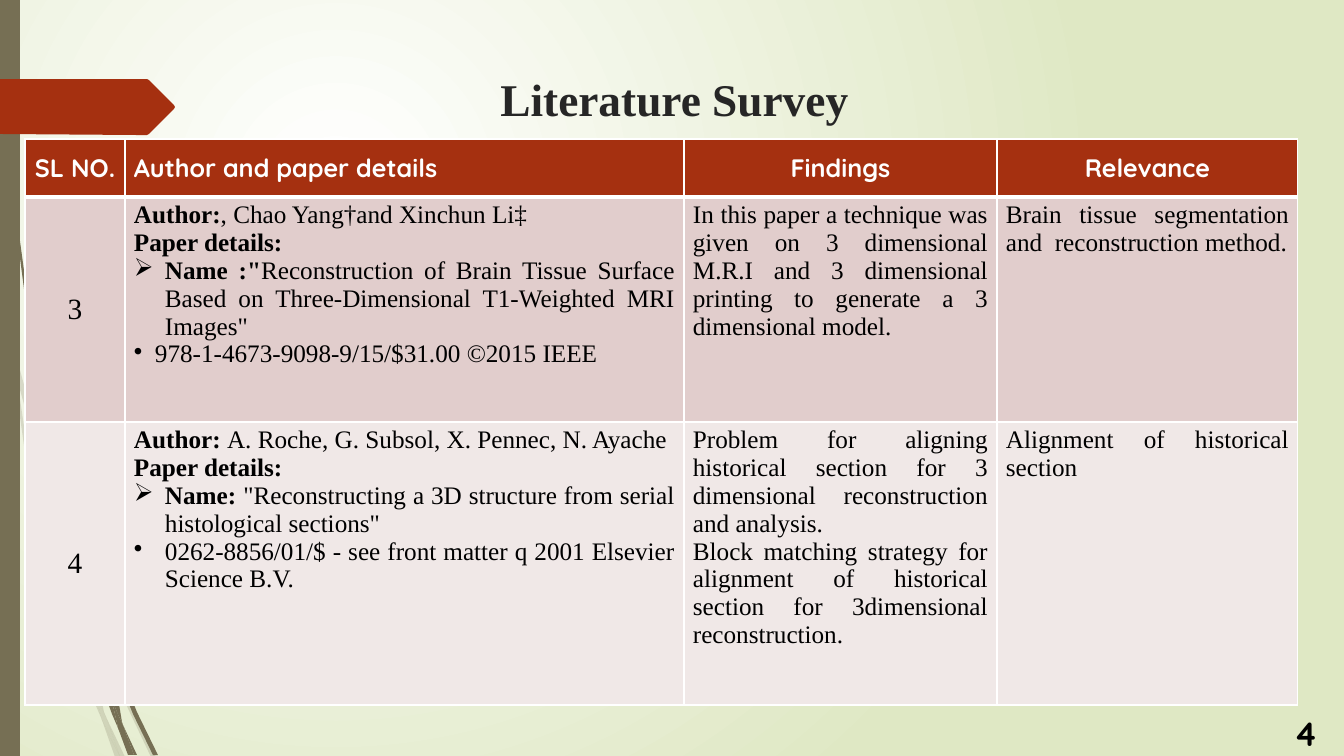
from dataclasses import dataclass

from lxml.etree import SubElement
from pptx import Presentation
from pptx.dml.color import RGBColor
from pptx.enum.shapes import MSO_SHAPE as Shape
from pptx.enum.text import MSO_ANCHOR as Anchor, MSO_AUTO_SIZE as AutoSize, PP_ALIGN as Align
from pptx.oxml.ns import qn
from pptx.util import Emu, Pt

EMU_PER_PX = 914400 / 100.8


def px(length):
    return Emu(round(length * EMU_PER_PX))


@dataclass(frozen=True)
class Theme:
    olive: str = "766F54"
    rust: str = "A53010"
    white: str = "FFFFFF"
    black: str = "000000"
    heading: str = "262626"
    glow_edge: str = "DFE8C4"
    bands: tuple = ("E1CDCC", "F0E8E7")
    serif: str = "Times New Roman"
    sans: str = "Quicksand"
    title_size: float = 32.4
    page_size: int = 24
    number_size: int = 21
    text_size: int = 18
    thin: int = 1
    thick: int = 3


PALE_WISPS = [
    [(11, 353), (9, 325), (0, 284), (0, 301), (10, 347)],
    [(58, 526), (85, 604), (86, 591), (62, 524), (14, 348), (17, 379)],
    [(93, 612), (89, 601), (89, 615), (124, 700), (151, 757), (156, 757), (128, 698)],
    [(120, 757), (125, 757), (106, 717)],
    [(94, 688), (71, 624), (31, 473), (17, 379), (11, 353), (28, 474), (66, 626),
     (93, 699), (102, 720), (100, 713)],
    [(85, 604), (88, 651), (94, 688), (97, 698), (106, 717), (104, 712), (92, 651),
     (89, 615), (89, 613)],
    [(89, 589), (111, 466), (161, 352), (231, 247), (270, 200), (292, 176), (314, 155),
     (314, 154), (291, 176), (270, 199), (230, 246), (159, 351), (108, 465), (86, 589),
     (86, 591), (89, 601)],
    [(102, 720), (115, 757), (120, 757)],
    [(89, 613), (89, 615), (89, 601), (86, 591), (85, 604)],
    [(97, 698), (94, 688), (100, 713), (102, 720), (120, 757), (106, 717)],
]

DARK_WISPS = [
    [(7, 111), (17, 235), (33, 358), (56, 481), (57, 485), (55, 461), (55, 457),
     (36, 358), (19, 234), (8, 110), (5, 48), (4, 0), (3, 0), (4, 48)],
    [(89, 597), (107, 650), (107, 638), (107, 636), (94, 595), (60, 476), (65, 509)],
    [(114, 654), (111, 646), (112, 661), (133, 714), (153, 755), (158, 755), (137, 712)],
    [(111, 697), (99, 662), (73, 560), (65, 509), (57, 481), (69, 561), (94, 664),
     (112, 714), (118, 728), (117, 723)],
    [(60, 476), (58, 457), (54, 352), (58, 247), (64, 195), (71, 142), (62, 195),
     (56, 247), (52, 352), (55, 453)],
    [(134, 755), (137, 755), (123, 725)],
    [(57, 481), (65, 509), (60, 476), (55, 453), (55, 457)],
    [(112, 638), (126, 556), (159, 480), (207, 409), (233, 377), (247, 362), (263, 347),
     (262, 347), (247, 361), (233, 376), (206, 408), (157, 478), (123, 555), (107, 636),
     (111, 646)],
    [(118, 728), (128, 755), (132, 755)],
    [(107, 650), (111, 697), (117, 712), (123, 725), (122, 722), (112, 661), (110, 656)],
    [(107, 650), (110, 656), (112, 661), (111, 646), (107, 636), (107, 638)],
    [(117, 712), (111, 697), (117, 723), (118, 728), (131, 755), (134, 755), (123, 725)],
]

ARROW_TAG = [(174, 109), (149, 134), (147, 135), (137, 135), (0, 134), (0, 79),
             (147, 79), (149, 80), (174, 105), (175, 107)]

COLUMNS = [100, 559, 313, 301]
ROWS = [58, 225, 283]
HEADINGS = ["SL NO.", "Author and paper details", "Findings", "Relevance"]

# A line is (bullet, indent, bold lead, plain rest).
PAPERS = [
    ("3",
     [("", 0, "Author:", ", Chao Yang†and Xinchun Li‡"),
      ("", 0, "Paper details:", ""),
      ("➢", 31, "Name :\"", "Reconstruction of Brain Tissue Surface Based on "
       "Three-Dimensional T1-Weighted MRI Images\""),
      ("•", 21, "", "978-1-4673-9098-9/15/$31.00 ©2015 IEEE")],
     [("", 0, "", "In this paper a technique was given on 3 dimensional M.R.I and "
       "3 dimensional printing to generate a 3 dimensional model.")],
     [("", 0, "", "Brain tissue segmentation and  reconstruction method.")]),
    ("4",
     [("", 0, "Author: ", "A. Roche, G. Subsol, X. Pennec, N. Ayache"),
      ("", 0, "Paper details:", ""),
      ("➢", 31, "Name: ", "\"Reconstructing a 3D structure from serial "
       "histological sections\""),
      ("•", 31, "", "0262-8856/01/$ - see front matter q 2001 Elsevier Science B.V.")],
     [("", 0, "", "Problem for aligning historical section for 3 dimensional "
       "reconstruction and analysis."),
      ("", 0, "", "Block matching strategy for alignment of historical section for "
       "3dimensional reconstruction.")],
     [("", 0, "", "Alignment of historical section")]),
]


class SlideBuilder:
    def __init__(self, page, theme):
        self.page, self.theme = page, theme

    def background(self):
        fill = self.page.background.fill
        fill.gradient()
        for stop, color in zip(fill.gradient_stops, (self.theme.white, self.theme.glow_edge)):
            stop.color.rgb = RGBColor.from_string(color)
        gradient = self.page.element.find(".//" + qn("a:gradFill"))
        gradient.remove(gradient.find(qn("a:lin")))
        glow = SubElement(gradient, qn("a:path"), path="circle")
        SubElement(glow, qn("a:fillToRect"), l="50000", t="50000", r="100000", b="100000")

    def paint(self, shape, color, opacity=100):
        shape.shadow.inherit = False
        shape.fill.solid()
        shape.fill.fore_color.rgb = RGBColor.from_string(color)
        shape.line.fill.background()
        if opacity < 100:
            tint = shape.element.spPr.find(".//" + qn("a:srgbClr"))
            SubElement(tint, qn("a:alpha"), val=str(opacity * 1000))

    def outline(self, points, color, opacity=100):
        builder = self.page.shapes.build_freeform(*points[0], scale=EMU_PER_PX)
        builder.add_line_segments(points[1:], close=True)
        self.paint(builder.convert_to_shape(), color, opacity)

    def bar(self, left, top, width, height, color):
        self.paint(self.page.shapes.add_shape(
            Shape.RECTANGLE, px(left), px(top), px(width), px(height)), color)

    def span(self, para, text, size, face, color, bold=False):
        run = para.add_run()
        run.text = text
        run.font.size, run.font.name, run.font.bold = Pt(size), face, bold
        run.font.color.rgb = RGBColor.from_string(color)

    def title(self, text, left, top, width, height):
        box = self.page.shapes.title
        box.left, box.top, box.width, box.height = map(px, (left, top, width, height))
        frame = box.text_frame
        frame.auto_size, frame.vertical_anchor = AutoSize.NONE, Anchor.MIDDLE
        frame.margin_top, frame.margin_bottom = px(40), 0
        para = frame.paragraphs[0]
        para.alignment = Align.CENTER
        self.span(para, text, self.theme.title_size, self.theme.serif, self.theme.heading, True)

    def page_number(self, text, left, top, width, height):
        box = self.page.shapes.add_textbox(px(left), px(top), px(width), px(height))
        box.text_frame.word_wrap = True
        self.span(box.text_frame.paragraphs[0], text, self.theme.page_size,
                  self.theme.sans, self.theme.black, True)

    def cell(self, cell, fill, top=1, bottom=1, anchor=Anchor.TOP):
        """Give a cell its white borders, fill, insets and anchor."""
        cell.margin_left = cell.margin_right = px(9)
        cell.margin_top = cell.margin_bottom = px(4)
        cell.vertical_anchor = anchor
        properties = cell._tc.get_or_add_tcPr()
        for side, width in (("L", self.theme.thin), ("R", self.theme.thin),
                            ("T", top), ("B", bottom)):
            border = SubElement(properties, qn("a:ln" + side), w=str(Pt(width)))
            solid = SubElement(border, qn("a:solidFill"))
            SubElement(solid, qn("a:srgbClr"), val=self.theme.white)
        cell.fill.solid()
        cell.fill.fore_color.rgb = RGBColor.from_string(fill)

    def lines(self, frame, lines):
        theme = self.theme
        for index, (bullet, indent, lead, rest) in enumerate(lines):
            para = frame.add_paragraph() if index else frame.paragraphs[0]
            para.alignment = Align.JUSTIFY
            if bullet:
                properties = para._p.get_or_add_pPr()
                properties.set("marL", str(px(indent)))
                properties.set("indent", str(-px(indent)))
                SubElement(properties, qn("a:buChar"), char=bullet)
            for text, bold in ((lead, True), (rest, False)):
                if text:
                    self.span(para, text, theme.text_size, theme.serif, theme.black, bold)

    def survey_table(self, left, top):
        theme = self.theme
        table = self.page.shapes.add_table(
            len(ROWS), len(COLUMNS), px(left), px(top), px(sum(COLUMNS)), px(sum(ROWS))).table
        table.horz_banding = False
        for column, width in zip(table.columns, COLUMNS):
            column.width = px(width)
        for row, height in zip(table.rows, ROWS):
            row.height = px(height)
        for index, heading in enumerate(HEADINGS):
            cell = table.cell(0, index)
            self.cell(cell, theme.rust, bottom=theme.thick, anchor=Anchor.MIDDLE)
            para = cell.text_frame.paragraphs[0]
            para.alignment = Align.LEFT if index == 1 else Align.CENTER
            self.span(para, heading, theme.text_size, theme.sans, theme.white, True)
        for row, (paper, fill) in enumerate(zip(PAPERS, theme.bands), start=1):
            border = theme.thick if row == 1 else theme.thin
            number = table.cell(row, 0)
            self.cell(number, fill, top=border, anchor=Anchor.MIDDLE)
            para = number.text_frame.paragraphs[0]
            para.alignment = Align.CENTER
            self.span(para, paper[0], theme.number_size, theme.serif, theme.black)
            for column, lines in enumerate(paper[1:], start=1):
                self.cell(table.cell(row, column), fill, top=border)
                self.lines(table.cell(row, column).text_frame, lines)


def main():
    deck = Presentation()
    deck.slide_width, deck.slide_height = px(1344), px(756)
    theme = Theme()
    slide = SlideBuilder(deck.slides.add_slide(deck.slide_layouts[5]), theme)
    slide.background()
    for wisps, opacity in ((PALE_WISPS, 20), (DARK_WISPS, 100)):
        for points in wisps:
            slide.outline(points, theme.olive, opacity)
    slide.bar(0, 0, 20, 756, theme.olive)
    slide.outline(ARROW_TAG, theme.rust)
    slide.title("Literature Survey", 95, 17, 1159, 122)
    slide.survey_table(25, 139)
    slide.page_number("4", 1284, 708, 60, 48)
    deck.save("out.pptx")


if __name__ == "__main__":
    main()
